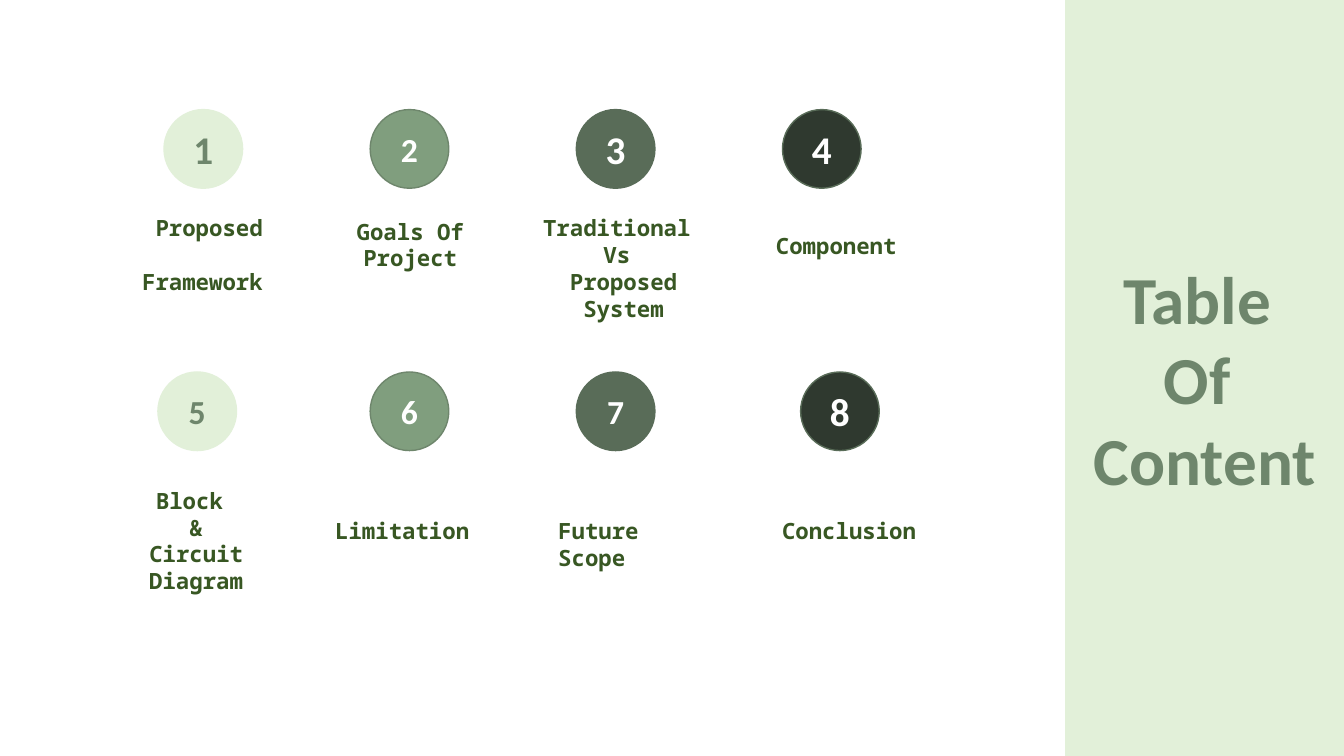
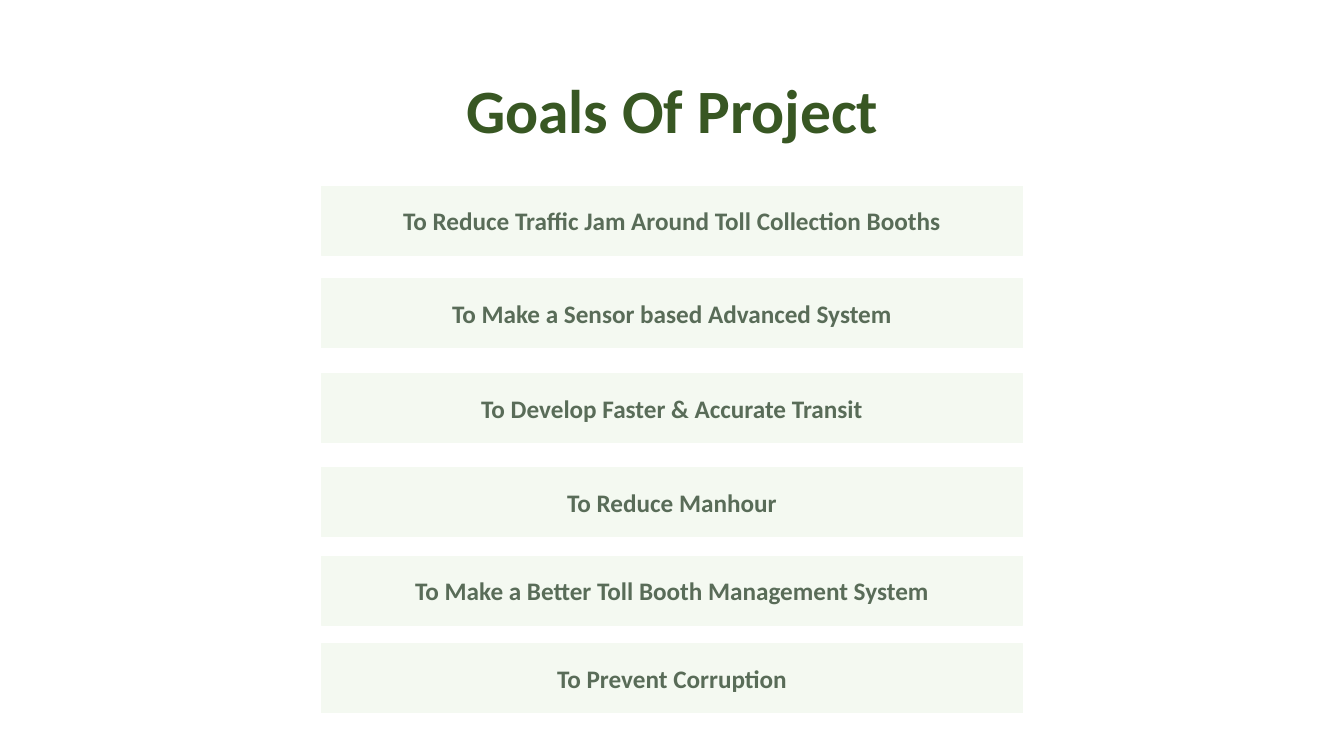
"""Build the table of content and project goals slides."""
from dataclasses import dataclass

from pptx import Presentation
from pptx.dml.color import RGBColor
from pptx.enum.shapes import MSO_SHAPE
from pptx.enum.text import MSO_ANCHOR, PP_ALIGN
from pptx.util import Inches, Pt


@dataclass(frozen=True)
class Theme:
    heading_font: str = "Calibri"
    label_font: str = "Noto Sans Mono"
    white: str = "FFFFFF"
    pale: str = "E2F0D9"
    mist: str = "F4F9F1"
    sage: str = "809E7E"
    moss: str = "6E866C"
    fern: str = "596C58"
    night: str = "2F392F"
    forest: str = "385723"
    panel_size: int = 48
    title_size: int = 44
    number_large: int = 28
    number_small: int = 24
    goal_size: int = 18
    label_size: int = 16
    outline: int = 1


THEME = Theme()
WIDTH, HEIGHT = Inches(13.33), Inches(7.5)
CIRCLE_WIDTH, CIRCLE_HEIGHT = 5.85, 10.4
CIRCLE_LEFT, CIRCLE_PITCH = 12.2, 15.34
CIRCLE_TOPS = (14.5, 49.2)
LABEL_PADDING, LABEL_LINE = 1.33, 3.6

CIRCLE_STYLES = (
    (THEME.pale, THEME.pale, THEME.moss),
    (THEME.sage, THEME.moss, THEME.white),
    (THEME.fern, THEME.fern, THEME.white),
    (THEME.night, THEME.fern, THEME.white),
)


@dataclass(frozen=True)
class Entry:
    text: str
    left: float
    top: float
    width: float
    lines: int
    number_size: int = THEME.number_large
    align: PP_ALIGN = PP_ALIGN.CENTER
    gap: float = 0
    shift: float = 0


ENTRIES = (
    Entry("Proposed\nFramework ", 9.6, 27.73, 11.93, 3, gap=19.3),
    Entry("Goals Of Project", 24.83, 28.13, 11.4, 2, THEME.number_small),
    Entry("Traditional \nVs \nProposed System", 38.48, 27.73, 15.83, 4),
    Entry("Component", 57, 30, 11.4, 1, align=PP_ALIGN.LEFT),
    Entry("Block \n&\nCircuit Diagram", 9.98, 63.73, 9.23, 4, THEME.number_small, shift=-0.45),
    Entry("Limitation", 23.63, 67.73, 12.6, 1, THEME.number_small),
    Entry("Future Scope", 40.8, 67.73, 12.6, 2, THEME.number_small, PP_ALIGN.LEFT),
    Entry("Conclusion", 57.45, 67.73, 12.6, 1, align=PP_ALIGN.LEFT, shift=1.35),
)

GOALS = (
    ("To Reduce Traffic Jam Around Toll Collection Booths", 24.67),
    ("To Make a Sensor based Advanced System", 36.93),
    ("To Develop Faster & Accurate Transit", 49.47),
    ("To Reduce Manhour", 61.87),
    ("To Make a Better Toll Booth Management System", 73.6),
    ("To Prevent Corruption", 85.2),
)


def place(left, top, width, height):
    """Turn percentages of the slide into lengths."""
    return (
        int(WIDTH * left / 100),
        int(HEIGHT * top / 100),
        int(WIDTH * width / 100),
        int(HEIGHT * height / 100),
    )


def write(box, text, *, size, color, font=THEME.heading_font, align=PP_ALIGN.CENTER,
          anchor=MSO_ANCHOR.MIDDLE, gap=0, line_spacing=None):
    """Write bold text into a box, one paragraph for each line."""
    frame = box.text_frame
    frame.word_wrap = True
    frame.vertical_anchor = anchor
    for index, line in enumerate(text.split("\n")):
        para = frame.add_paragraph() if index else frame.paragraphs[0]
        para.alignment = align
        if index and gap:
            para.space_before = Pt(gap)
        if line_spacing:
            para.line_spacing = line_spacing
        span = para.add_run()
        span.text = line
        span.font.name = font
        span.font.size = Pt(size)
        span.font.bold = True
        span.font.color.rgb = RGBColor.from_string(color)


def add_block(page, kind, area, fill, line):
    """Add a filled and outlined shape without a shadow."""
    block = page.shapes.add_shape(kind, *place(*area))
    block.shadow.inherit = False
    block.fill.solid()
    block.fill.fore_color.rgb = RGBColor.from_string(fill)
    block.line.color.rgb = RGBColor.from_string(line)
    block.line.width = Pt(THEME.outline)
    return block


def add_text(page, area, text, **style):
    """Add a text box in the given style."""
    write(page.shapes.add_textbox(*place(*area)), text, **style)


def add_entry(page, index, entry):
    """Add a numbered circle and its label."""
    row, column = divmod(index, len(CIRCLE_STYLES))
    fill, line, color = CIRCLE_STYLES[column]
    left = CIRCLE_LEFT + column * CIRCLE_PITCH + entry.shift
    area = (left, CIRCLE_TOPS[row], CIRCLE_WIDTH, CIRCLE_HEIGHT)
    circle = add_block(page, MSO_SHAPE.OVAL, area, fill, line)
    write(circle, str(index + 1), size=entry.number_size, color=color)
    height = LABEL_PADDING + LABEL_LINE * entry.lines
    add_text(page, (entry.left, entry.top, entry.width, height), entry.text,
             size=THEME.label_size, color=THEME.forest, font=THEME.label_font,
             align=entry.align, anchor=MSO_ANCHOR.TOP, gap=entry.gap)


def add_contents(page):
    """Fill the table of content slide."""
    panel = add_block(page, MSO_SHAPE.RECTANGLE, (79.3, 0, 20.7, 100), THEME.pale, THEME.pale)
    write(panel, "Table \nOf \nContent", size=THEME.panel_size, color=THEME.moss)
    for index, entry in enumerate(ENTRIES):
        add_entry(page, index, entry)


def add_goals(page):
    """Fill the project goals slide."""
    add_text(page, (6.9, 5.33, 86.27, 19.33), "Goals Of Project",
             size=THEME.title_size, color=THEME.forest, line_spacing=0.9)
    for text, top in GOALS:
        bar = add_block(page, MSO_SHAPE.RECTANGLE, (23.93, top, 52.14, 9.07),
                        THEME.mist, THEME.mist)
        write(bar, text, size=THEME.goal_size, color=THEME.fern)


def main():
    """Build and save the deck."""
    deck = Presentation()
    deck.slide_width, deck.slide_height = WIDTH, HEIGHT
    for fill_page in (add_contents, add_goals):
        fill_page(deck.slides.add_slide(deck.slide_layouts[6]))
    deck.save("out.pptx")


if __name__ == "__main__":
    main()
